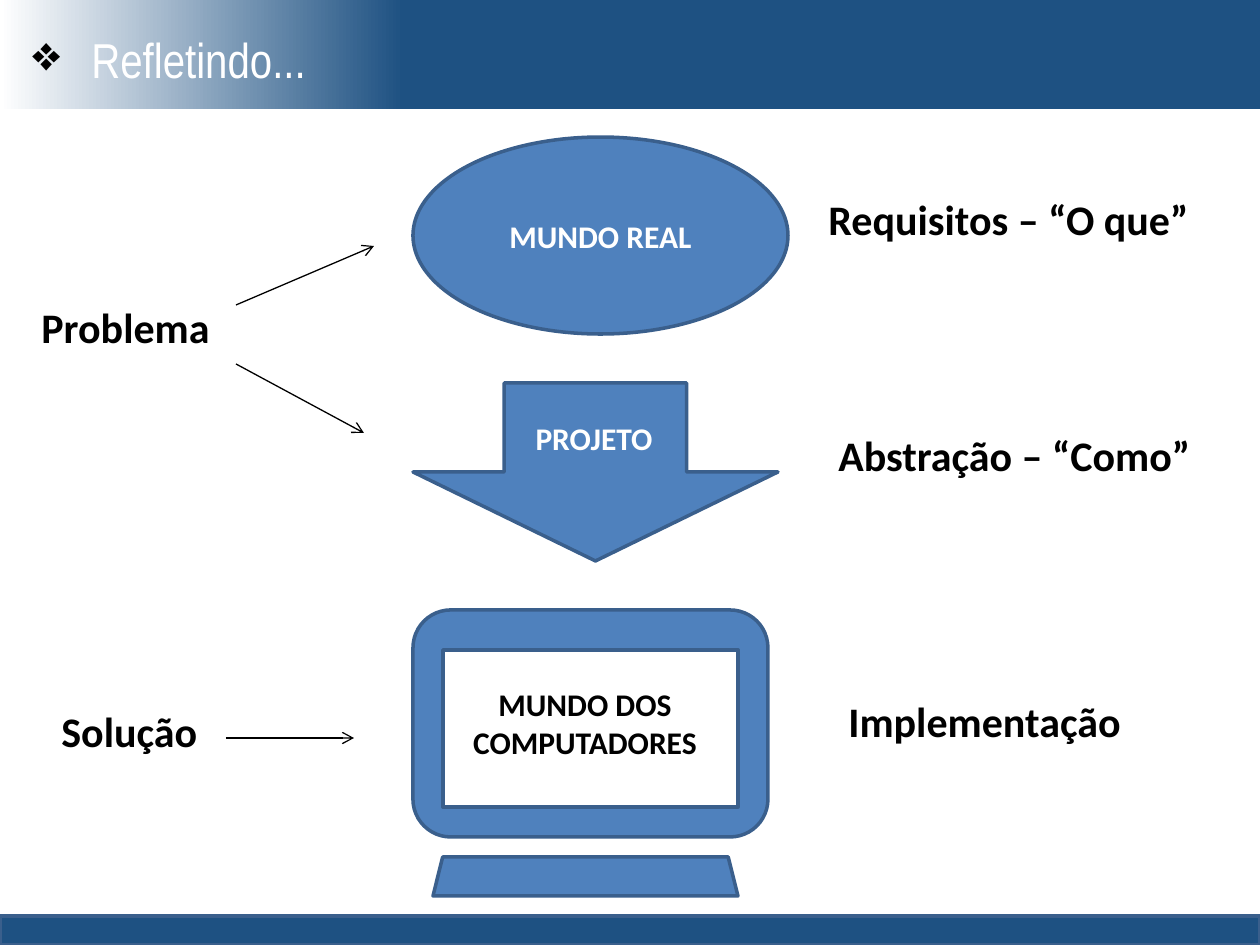
from lxml import etree
from pptx import Presentation
from pptx.dml.color import RGBColor
from pptx.enum.shapes import MSO_CONNECTOR, MSO_SHAPE
from pptx.enum.text import MSO_ANCHOR, MSO_AUTO_SIZE, PP_ALIGN
from pptx.oxml.ns import qn
from pptx.util import Emu, Pt

PX = 914400 / 126
COLORS = {"navy": "1E5182", "blue": "4F81BD", "edge": "3A5F8C",
          "white": "FFFFFF", "black": "000000"}


def px(length):
    return Emu(round(length * PX))


def rgb(name):
    return RGBColor.from_string(COLORS[name])


def style_run(run, size, color, font="Calibri", bold=True):
    run.font.name = font
    run.font.size = Pt(size)
    run.font.bold = bold
    run.font.color.rgb = rgb(color)


def add_box(slide, kind, box, fill="blue", edge="edge"):
    shape = slide.shapes.add_shape(kind, *map(px, box))
    shape.shadow.inherit = False
    shape.fill.solid()
    shape.fill.fore_color.rgb = rgb(fill)
    if edge:
        shape.line.color.rgb = rgb(edge)
        shape.line.width = Pt(2)
    else:
        shape.line.fill.background()
    return shape


def write(frame, text, size, color, align=PP_ALIGN.CENTER):
    frame.text = text
    paragraph = frame.paragraphs[0]
    paragraph.alignment = align
    style_run(paragraph.runs[0], size, color)


def add_label(slide, box, text, size=24, color="black",
              align=PP_ALIGN.LEFT, wrap=False):
    label = slide.shapes.add_textbox(*map(px, box))
    label.text_frame.word_wrap = wrap
    label.text_frame.auto_size = MSO_AUTO_SIZE.SHAPE_TO_FIT_TEXT
    write(label.text_frame, text, size, color, align)


def add_arrow(slide, start, end):
    arrow = slide.shapes.add_connector(
        MSO_CONNECTOR.STRAIGHT, *map(px, start + end))
    arrow.line.color.rgb = rgb("black")
    arrow.line.width = Pt(0.75)
    line = arrow.line._get_or_add_ln()
    etree.SubElement(line, qn("a:tailEnd"), type="arrow")
    etree.SubElement(arrow._element.spPr, qn("a:effectLst"))


def header(slide, left, top, width, height):
    # Band fading to white on the left
    band = add_box(slide, MSO_SHAPE.RECTANGLE, (left, top, width, height), "navy", None)
    band.fill.gradient()
    band.fill.gradient_angle = 180
    stops = band.fill.gradient_stops
    for stop, position, color in zip(stops, (0.68, 1), ("navy", "white")):
        stop.position = position
        stop.color.rgb = rgb(color)

    # Bulleted title
    title = slide.shapes.add_textbox(
        *map(px, (left + 20, top + 20, 522, 78))).text_frame
    title.word_wrap = True
    title.vertical_anchor = MSO_ANCHOR.MIDDLE
    paragraph = title.paragraphs[0]
    for text, font, color in ((" ", "Calibri", "black"),
                              ("Refletindo...", "Arial Narrow", "white")):
        run = paragraph.add_run()
        run.text = text
        style_run(run, 28, color, font, bold=False)
    properties = paragraph._p.get_or_add_pPr()
    properties.set("marL", str(px(48)))
    properties.set("indent", str(px(-48)))
    etree.SubElement(properties, qn("a:buChar"), char="❖")


def computer(slide, left, top):
    # Monitor, screen and keyboard
    add_box(slide, MSO_SHAPE.ROUNDED_RECTANGLE, (left, top, 355, 227))
    add_box(slide, MSO_SHAPE.RECTANGLE, (left + 30, top + 40, 295, 157), "white")
    add_label(slide, (left + 39, top + 69, 266, 89), "MUNDO DOS COMPUTADORES",
              18, align=PP_ALIGN.CENTER, wrap=True)
    add_box(slide, MSO_SHAPE.TRAPEZOID, (left + 20, top + 247, 305, 39))


def stages(slide, left, top):
    # Real world
    world = add_box(slide, MSO_SHAPE.OVAL, (left, top, 375, 197))
    world.text_frame.vertical_anchor = MSO_ANCHOR.MIDDLE
    write(world.text_frame, "MUNDO REAL", 18, "white")
    # Project
    add_box(slide, MSO_SHAPE.DOWN_ARROW, (left, top + 246, 365, 178))
    add_label(slide, (left + 109, top + 276, 144, 50), "PROJETO", 18,
              "white", PP_ALIGN.CENTER)
    computer(slide, left, top + 473)


def descriptions(slide, left, top):
    for dx, dy, width, text in ((0, 0, 389, "Requisitos – “O que”"),
                                (10, 236, 381, "Abstração – “Como”"),
                                (20, 502, 300, "Implementação")):
        add_label(slide, (left + dx, top + dy, width, 63), text)


def problem_and_solution(slide, left, top):
    add_label(slide, (left, top, 195, 63), "Problema")
    add_label(slide, (left + 20, top + 404, 163, 63), "Solução")
    for x1, y1, x2, y2 in ((207, 10, 345, -49),
                           (207, 69, 335, 138),
                           (197, 443, 325, 443)):
        add_arrow(slide, (left + x1, top + y1), (left + x2, top + y2))


def build():
    deck = Presentation()
    deck.slide_width, deck.slide_height = px(1260), px(945)
    slide = deck.slides.add_slide(deck.slide_layouts[6])
    header(slide, 0, 0, 1261, 109)
    add_box(slide, MSO_SHAPE.RECTANGLE, (0, 916, 1260, 29), "navy")  # Footer
    stages(slide, 413, 137)
    descriptions(slide, 816, 187)
    problem_and_solution(slide, 29, 295)
    deck.save("out.pptx")


build()
